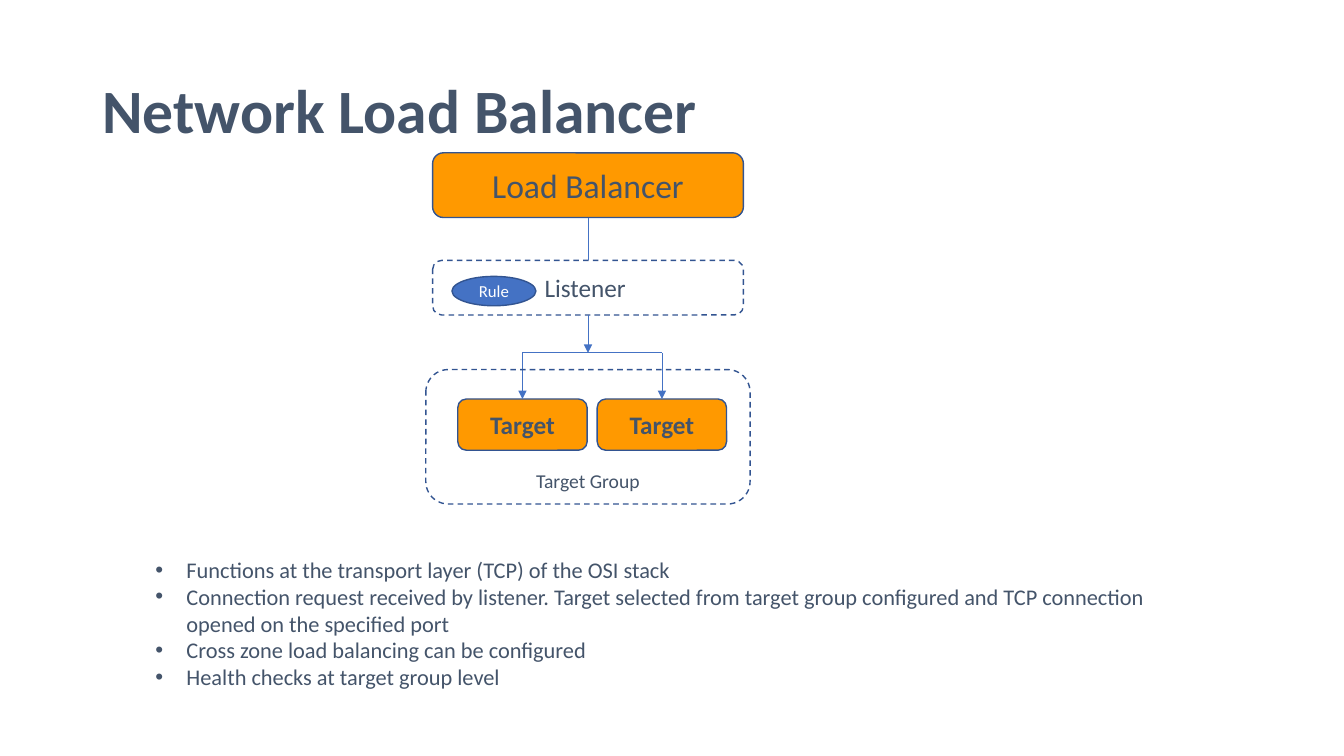
from dataclasses import dataclass

from lxml import etree
from pptx import Presentation
from pptx.dml.color import RGBColor
from pptx.enum.dml import MSO_LINE
from pptx.enum.shapes import MSO_CONNECTOR, MSO_SHAPE
from pptx.enum.text import MSO_ANCHOR, PP_ALIGN
from pptx.oxml.ns import qn
from pptx.util import Inches, Pt

ROUNDED = MSO_SHAPE.ROUNDED_RECTANGLE
OVAL = MSO_SHAPE.OVAL
STRAIGHT = MSO_CONNECTOR.STRAIGHT
DASH = MSO_LINE.DASH
TOP, MIDDLE, BOTTOM = MSO_ANCHOR.TOP, MSO_ANCHOR.MIDDLE, MSO_ANCHOR.BOTTOM
LEFT, CENTER = PP_ALIGN.LEFT, PP_ALIGN.CENTER
TOP_SIDE, BOTTOM_SIDE = 0, 2
COLUMNS, ROWS = 16, 9


@dataclass(frozen=True)
class Theme:
    font: str = "Calibri"
    ink: str = "44546A"
    orange: str = "FF9900"
    blue: str = "4472C4"
    outline: str = "325491"
    white: str = "FFFFFF"
    title: int = 44
    heading: int = 24
    label: int = 18
    body: int = 16
    caption: int = 14
    small: int = 12
    border: float = 1
    link: float = 0.5


class SlideBuilder:
    def __init__(self, presentation, theme):
        self.theme = theme
        self.column = presentation.slide_width / COLUMNS
        self.row = presentation.slide_height / ROWS
        self.shapes = presentation.slides.add_slide(presentation.slide_layouts[6]).shapes

    def place(self, *lengths):
        units = (self.column, self.row) * 2
        return [round(length * unit) for length, unit in zip(lengths, units)]

    def fill_text(self, frame, text, size, color=None, bold=False, align=CENTER, anchor=MIDDLE):
        frame.word_wrap = True
        frame.vertical_anchor = anchor
        frame.text = text
        for paragraph in frame.paragraphs:
            paragraph.alignment = align
            for run in paragraph.runs:
                run.font.name = self.theme.font
                run.font.size = Pt(size)
                run.font.bold = bold
                run.font.color.rgb = RGBColor.from_string(color or self.theme.ink)

    def text(self, area, text, size, **style):
        frame = self.shapes.add_textbox(*self.place(*area)).text_frame
        self.fill_text(frame, text, size, align=LEFT, **style)
        return frame

    def bullets(self, area, points):
        frame = self.text(area, "\n".join(points), self.theme.body, anchor=TOP)
        indent = Inches(0.31)
        for paragraph in frame.paragraphs:
            properties = paragraph._p.get_or_add_pPr()
            properties.set("marL", str(indent))
            properties.set("indent", str(-indent))
            etree.SubElement(properties, qn("a:buFont"), typeface="Arial")
            etree.SubElement(properties, qn("a:buChar"), char="•")

    def node(self, area, text, size, fill=None, dashed=False, kind=ROUNDED, **style):
        shape = self.shapes.add_shape(kind, *self.place(*area))
        shape.shadow.inherit = False
        if fill:
            shape.fill.solid()
            shape.fill.fore_color.rgb = RGBColor.from_string(fill)
        else:
            shape.fill.background()
        shape.line.color.rgb = RGBColor.from_string(self.theme.outline)
        shape.line.width = Pt(self.theme.border)
        if dashed:
            shape.line.dash_style = DASH
        self.fill_text(shape.text_frame, text, size, **style)
        return shape

    def link(self, start, end, source=None, target=None, arrow=False):
        connector = self.shapes.add_connector(STRAIGHT, *self.place(*start, *end))
        if source:
            connector.begin_connect(source, BOTTOM_SIDE)
        if target:
            connector.end_connect(target, TOP_SIDE)
        connector.line.color.rgb = RGBColor.from_string(self.theme.blue)
        connector.line.width = Pt(self.theme.link)
        properties = connector.element.spPr
        if arrow:
            etree.SubElement(properties.find(qn("a:ln")), qn("a:tailEnd"), type="triangle")
        etree.SubElement(properties, qn("a:effectLst"))


def main():
    presentation = Presentation()
    presentation.slide_width = Inches(13.333)
    presentation.slide_height = Inches(7.5)
    theme = Theme()
    slide = SlideBuilder(presentation, theme)

    axis, bus_row = 7, 4.2
    balancer_left, balancer_width = 5.15, 3.7
    balancer_top, balancer_height = 1.82, 0.77
    listener_top, listener_height = 3.1, 0.65
    target_top, target_width, target_gap = 4.75, 1.54, 0.12
    targets_axis = axis + 0.05

    title = slide.text((1.1, 0.48, 13.8, 1.74), "Network Load Balancer", theme.title, bold=True)
    title.paragraphs[0].line_spacing = 0.9

    balancer = slide.node((balancer_left, balancer_top, balancer_width, balancer_height),
                          "Load Balancer", theme.heading, theme.orange)
    listener = slide.node((balancer_left, listener_top, balancer_width, listener_height),
                          "Listener ", theme.label, theme.white, dashed=True)
    slide.bullets((1.73, 6.56, 12.46, 1.74), [
        "Functions at the transport layer (TCP) of the OSI stack",
        "Connection request received by listener. Target selected from target group "
        "configured and TCP connection opened on the specified port",
        "Cross zone load balancing can be configured",
        "Health checks at target group level",
    ])
    slide.node((5.38, 3.29, 1, 0.35), "Rule", theme.small, theme.blue, kind=OVAL,
               color=theme.white)

    reach = (target_width + target_gap) / 2
    target_centers = (targets_axis - reach, targets_axis + reach)
    for center in target_centers:
        target = slide.node((center - target_width / 2, target_top, target_width, 0.61),
                            "Target", theme.label, theme.orange, bold=True)
        slide.link((center, bus_row), (center, target_top), target=target, arrow=True)

    slide.link((target_centers[0], bus_row), (target_centers[1], bus_row))
    slide.link((axis, listener_top + listener_height), (axis, bus_row),
               source=listener, arrow=True)
    slide.link((axis, balancer_top + balancer_height), (axis, listener_top),
               source=balancer, target=listener)
    slide.node((5.07, 4.4, 3.86, 1.6), "Target Group", theme.caption, dashed=True, anchor=BOTTOM)

    presentation.save("out.pptx")


if __name__ == "__main__":
    main()
